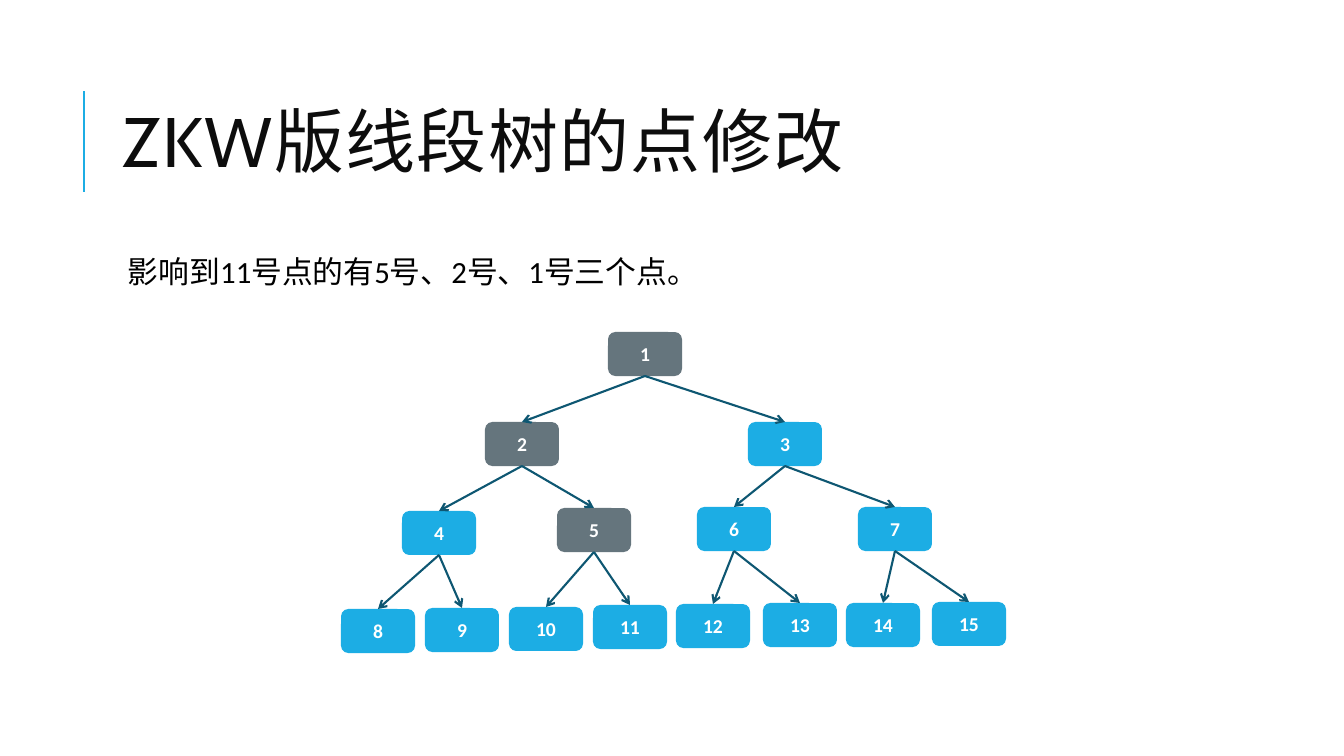
import dataclasses

import lxml.etree
import pptx
import pptx.dml.color
import pptx.enum.shapes
import pptx.enum.text
import pptx.oxml.ns
import pptx.util

SCALE = 914400 / 100.8
BLUE, GRAY, NAVY = "1CADE4", "65757D", "0E5772"
NODE_W, NODE_H = 74, 44


@dataclasses.dataclass
class Node:
    num: int
    left: int
    top: int
    fill: str = BLUE


@dataclasses.dataclass
class Label:
    text: str
    box: tuple[int, int, int, int]
    font: str
    size: int
    color: str
    pads: tuple[int, int]
    lines: float
    anchor: pptx.enum.text.MSO_ANCHOR
    track: int = 0
    before: int = 0
    after: int = 0


def px(num: int) -> pptx.util.Emu:
    return pptx.util.Emu(round(num * SCALE))


def rgb(code: str) -> pptx.dml.color.RGBColor:
    return pptx.dml.color.RGBColor.from_string(code)


def add_tag(root, name: str):
    return lxml.etree.SubElement(root, pptx.oxml.ns.qn(name))


def add_run(para, text: str, font: str, size: int, color: str, bold: bool = False):
    run = para.add_run()
    run.text = text
    run.font.name = font
    run.font.size = pptx.util.Pt(size)
    run.font.bold = bold
    run.font.color.rgb = rgb(color)
    return run


def add_label(slide, label: Label) -> None:
    frame = slide.shapes.add_textbox(*map(px, label.box)).text_frame
    frame.word_wrap = True
    frame.vertical_anchor = label.anchor
    frame.margin_left, frame.margin_top = map(px, label.pads)
    para = frame.paragraphs[0]
    para.line_spacing = label.lines
    para.space_before = pptx.util.Pt(label.before)
    para.space_after = pptx.util.Pt(label.after)
    run = add_run(para, label.text, label.font, label.size, label.color)
    if label.track:
        run._r.get_or_add_rPr().set("spc", str(label.track * 100))


def add_node(slide, node: Node):
    kind = pptx.enum.shapes.MSO_SHAPE.ROUNDED_RECTANGLE
    shape = slide.shapes.add_shape(kind, *map(px, (node.left, node.top, NODE_W, NODE_H)))
    shape.shadow.inherit = False
    shape.fill.solid()
    shape.fill.fore_color.rgb = rgb(node.fill)
    shape.line.fill.background()
    frame = shape.text_frame
    frame.vertical_anchor = pptx.enum.text.MSO_ANCHOR.MIDDLE
    para = frame.paragraphs[0]
    para.alignment = pptx.enum.text.PP_ALIGN.CENTER
    add_run(para, str(node.num), "Calibri", 14, "FFFFFF", bold=True)
    return shape


def add_line(slide, color: str, ends: tuple[int, int, int, int] = (0, 0, 0, 0)):
    kind = pptx.enum.shapes.MSO_CONNECTOR.STRAIGHT
    line = slide.shapes.add_connector(kind, *map(px, ends))
    line.line.color.rgb = rgb(color)
    line.line.width = pptx.util.Pt(1.5)
    add_tag(line._element.spPr, "a:effectLst")
    return line


def add_arrow(slide, start, end) -> None:
    line = add_line(slide, NAVY)
    line.begin_connect(start, 2)
    line.end_connect(end, 0)
    stroke = line._element.spPr.find(pptx.oxml.ns.qn("a:ln"))
    add_tag(stroke, "a:tailEnd").set("type", "arrow")


LABELS = [
    Label("ZKW版线段树的点修改", (113, 65, 1072, 165), "Cabin", 50, "0D0D0D",
          (10, 5), 0.8, pptx.enum.text.MSO_ANCHOR.MIDDLE, track=1),
    Label("影响到11号点的有5号、2号、1号三个点。", (113, 252, 1072, 444), "Calibri", 22,
          "000000", (15, 5), 0.9, pptx.enum.text.MSO_ANCHOR.TOP, before=12, after=2),
]

# Gray nodes are the ancestors of node 11
NODES = [
    Node(1, 608, 332, GRAY),
    Node(2, 485, 422, GRAY), Node(3, 748, 422),
    Node(4, 402, 511), Node(5, 557, 508, GRAY),
    Node(6, 697, 507), Node(7, 858, 507),
    Node(8, 341, 609), Node(9, 425, 608), Node(10, 509, 607), Node(11, 593, 605),
    Node(12, 676, 604), Node(13, 763, 603), Node(14, 846, 603), Node(15, 932, 602),
]

deck = pptx.Presentation()
deck.slide_width, deck.slide_height = px(1344), px(756)
slide = deck.slides.add_slide(deck.slide_layouts[6])

# Title rule and text
add_line(slide, BLUE, (84, 192, 84, 91))
for label in LABELS:
    add_label(slide, label)

# Tree: the parent of node n is n // 2
tree = {node.num: add_node(slide, node) for node in NODES}
for num in range(2, len(NODES) + 1):
    add_arrow(slide, tree[num // 2], tree[num])

deck.save("out.pptx")
